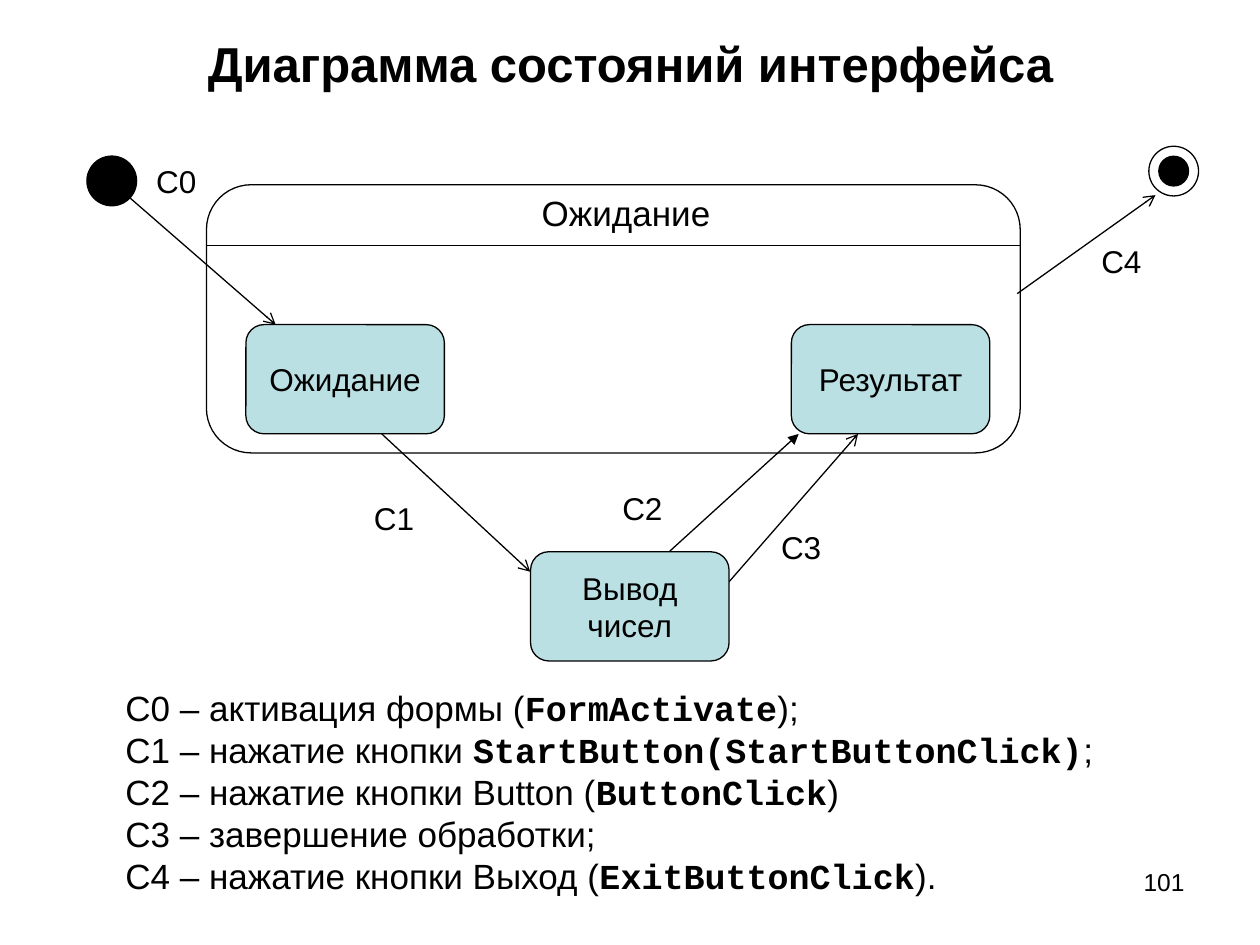
from dataclasses import dataclass

from lxml import etree
from pptx import Presentation
from pptx.dml.color import RGBColor
from pptx.enum.shapes import MSO_CONNECTOR, MSO_SHAPE
from pptx.enum.text import MSO_ANCHOR, PP_ALIGN
from pptx.oxml.ns import qn
from pptx.util import Pt

ROUNDED, OVAL = MSO_SHAPE.ROUNDED_RECTANGLE, MSO_SHAPE.OVAL
STRAIGHT = MSO_CONNECTOR.STRAIGHT
LEFT, CENTER, RIGHT = PP_ALIGN.LEFT, PP_ALIGN.CENTER, PP_ALIGN.RIGHT
TOP, MIDDLE = MSO_ANCHOR.TOP, MSO_ANCHOR.MIDDLE


@dataclass(frozen=True)
class Theme:
    ink: RGBColor = RGBColor(0x00, 0x00, 0x00)
    state: RGBColor = RGBColor(0xBB, 0xE0, 0xE3)
    font: str = "Arial"
    code_font: str = "Courier New"
    title: int = 28
    body: int = 20
    label: int = 18
    page: int = 14
    line: float = 0.75


THEME = Theme()


def write(frame, lines, size, align=LEFT, anchor=TOP, wrap=True, bold=False):
    """Each line is a list of runs; every second run is code."""
    frame.word_wrap = wrap
    frame.vertical_anchor = anchor
    for i, runs in enumerate(lines):
        paragraph = frame.paragraphs[0] if i == 0 else frame.add_paragraph()
        paragraph.alignment = align
        for j, text in enumerate(runs):
            is_code = j % 2 == 1
            run = paragraph.add_run()
            run.text = text
            run.font.name = THEME.code_font if is_code else THEME.font
            run.font.size = Pt(size)
            run.font.bold = bold or is_code
            run.font.color.rgb = THEME.ink


def add_outline(kind, left, top, width, height, fill=None):
    shape = slide.shapes.add_shape(kind, Pt(left), Pt(top), Pt(width), Pt(height))
    shape.shadow.inherit = False
    if fill is None:
        shape.fill.background()
    else:
        shape.fill.solid()
        shape.fill.fore_color.rgb = fill
    shape.line.color.rgb = THEME.ink
    shape.line.width = Pt(THEME.line)
    return shape


prs = Presentation()
prs.slide_width, prs.slide_height = Pt(720), Pt(540)
slide = prs.slides.add_slide(prs.slide_layouts[6])

# Composite state, start and final states
add_outline(ROUNDED, 118, 105.6, 465, 153.2)
add_outline(OVAL, 49.7, 89.2, 28.4, 28.4, THEME.ink)
add_outline(OVAL, 656.5, 83.6, 28.4, 28.4)
add_outline(OVAL, 662.2, 89.3, 17, 17, THEME.ink)

# Transitions, with the divider of the composite state
connections = [
    (72.9, 111.9, 157.5, 185.5, "arrow"),
    (218.2, 248, 303, 326.7, "arrow"),
    (581.3, 167.8, 660.3, 111.5, "arrow"),
    (416.6, 332.5, 490.3, 248, "arrow"),
    (382.5, 315.2, 456.4, 248, "triangle"),
    (118, 140.2, 582.7, 140.2, None),
]
for x1, y1, x2, y2, head in connections:
    connector = slide.shapes.add_connector(STRAIGHT, Pt(x1), Pt(y1), Pt(x2), Pt(y2))
    connector.line.color.rgb = THEME.ink
    connector.line.width = Pt(THEME.line)
    if head:
        etree.SubElement(connector.line._get_or_add_ln(), qn("a:tailEnd"), type=head)
    etree.SubElement(connector._element.spPr, qn("a:effectLst"))

# Simple states
states = [
    (140.5, 185.5, ["Ожидание"]),
    (452.2, 185.5, ["Результат"]),
    (303.2, 315.3, ["Вывод", "чисел"]),
]
for left, top, words in states:
    state = add_outline(ROUNDED, left, top, 113.4, 62.4, THEME.state)
    write(state.text_frame, [[word] for word in words], THEME.label, CENTER, MIDDLE, False)

# Captions: left, top, width, height, text, size, alignment, anchor, bold
captions = [
    (19.4, 11.5, 681.8, 49, "Диаграмма состояний интерфейса", THEME.title, CENTER, MIDDLE, True),
    (206.6, 105.8, 302.4, 31.7, "Ожидание", THEME.body, CENTER, TOP, False),
    (516.2, 491.8, 167.8, 37.4, "101", THEME.page, RIGHT, TOP, False),
]
transition_labels = [
    (82.1, 88.8, "С0"),
    (206.6, 281.8, "С1"),
    (348.5, 275.9, "С2"),
    (439.2, 298.4, "С3"),
    (622.2, 134.8, "С4"),
]
captions += [
    (left, top, 40, 28.8, text, THEME.label, LEFT, TOP, False)
    for left, top, text in transition_labels
]
for left, top, width, height, text, size, align, anchor, bold in captions:
    caption = slide.shapes.add_textbox(Pt(left), Pt(top), Pt(width), Pt(height))
    write(caption.text_frame, [[text]], size, align, anchor, bold=bold)

# Legend of transitions
legend_lines = [
    ["С0 – активация формы (", "FormActivate", ");"],
    ["С1 – нажатие кнопки ", "StartButton(StartButtonClick)", ";"],
    ["С2 – нажатие кнопки Button (", "ButtonClick", ")"],
    ["C3 – завершение обработки;"],
    ["С4 – нажатие кнопки Выход (", "ExitButtonClick", ")."],
]
legend = slide.shapes.add_textbox(Pt(64.6), Pt(388.8), Pt(567.4), Pt(127.4))
write(legend.text_frame, legend_lines, THEME.body, wrap=False)

prs.save("out.pptx")
